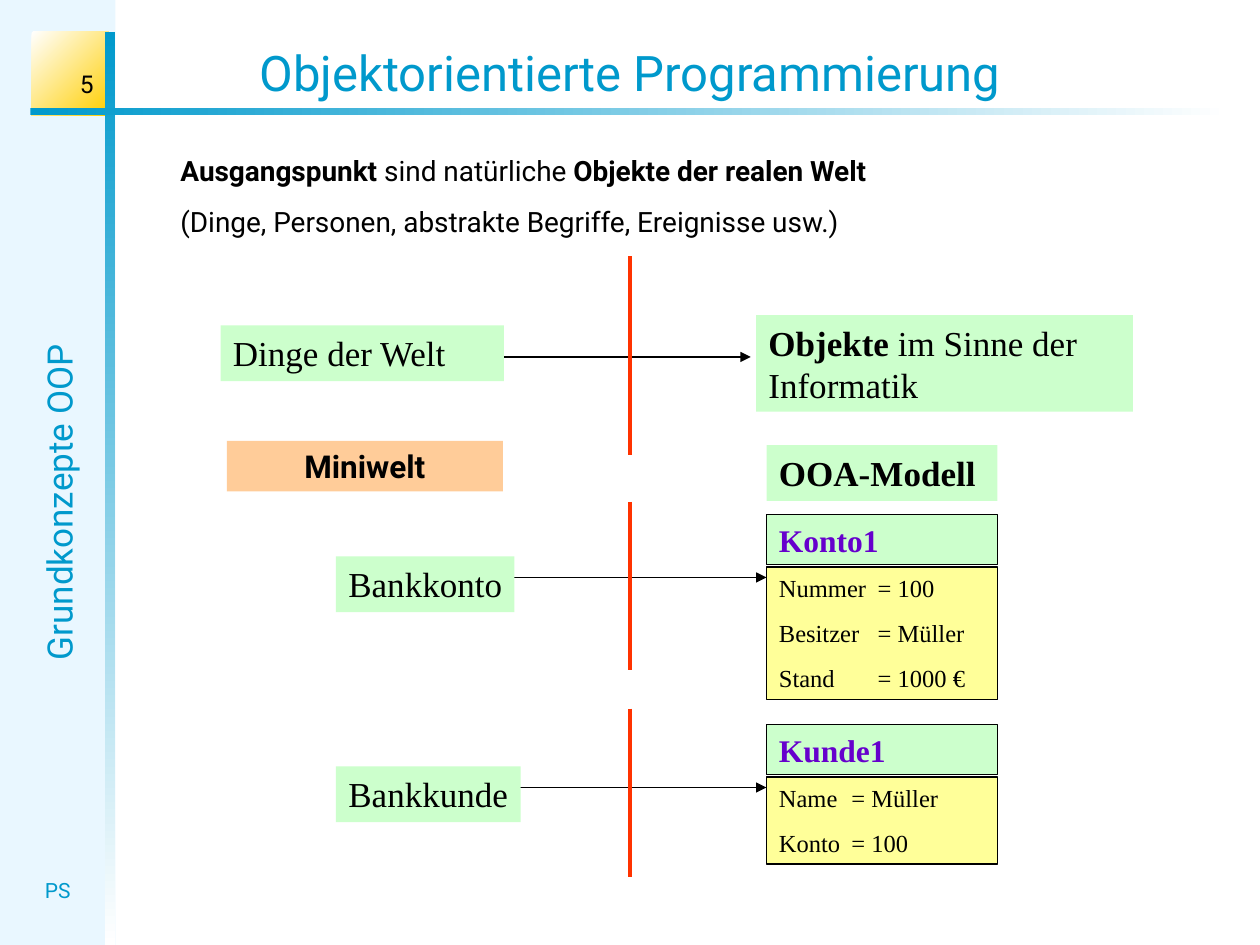
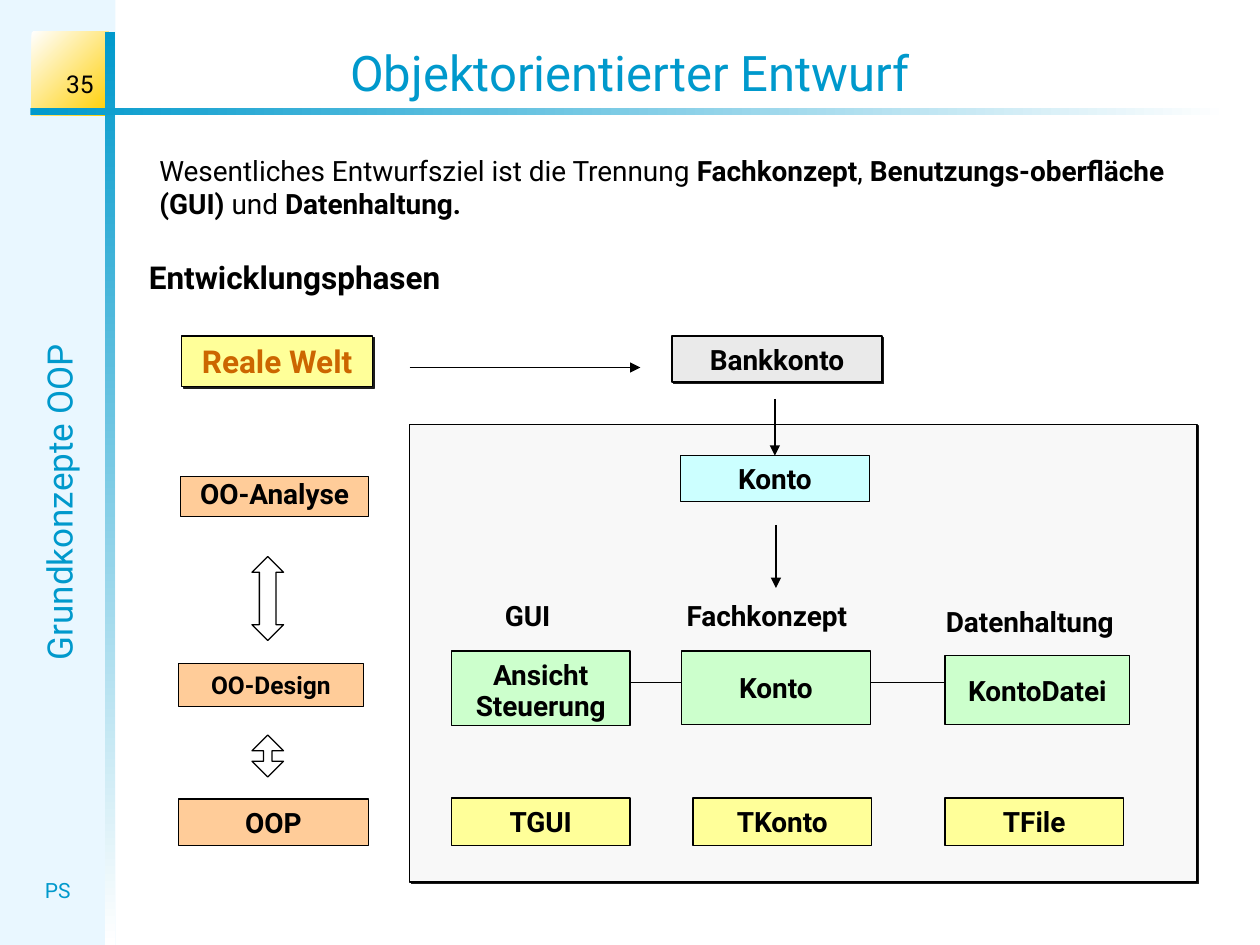
from dataclasses import dataclass

from lxml import etree
from pptx import Presentation
from pptx import util as u
from pptx.dml.color import RGBColor
from pptx.enum import shapes, text
from pptx.oxml.ns import qn


@dataclass(frozen=True)
class Theme:
    """Colours, fonts, type sizes in points and the grid cell of the deck."""

    cell: int = u.Inches(10) // 120
    sans: str = "Roboto"
    serif: str = "Times New Roman"
    ink: str = "000000"
    accent: str = "0099CC"
    white: str = "FFFFFF"
    sidebar: str = "E9F7FF"
    gold: str = "FFCF01"
    green: str = "CCFFCC"
    yellow: str = "FFFF99"
    orange: str = "FFCC99"
    cyan: str = "CCFFFF"
    grey: str = "EAEAEA"
    panel: str = "F8F8F8"
    divider: str = "FF3300"
    object_name: str = "6600CC"
    real_world: str = "CC6600"
    shadow: str = "1C1C1C"
    title: int = 28
    large: int = 20
    heading: int = 18
    body: int = 16
    small: int = 14
    footer: int = 12


THEME = Theme()
LEFT, CENTER, RIGHT = text.PP_ALIGN.LEFT, text.PP_ALIGN.CENTER, text.PP_ALIGN.RIGHT
TOP, MIDDLE, BOTTOM = text.MSO_ANCHOR.TOP, text.MSO_ANCHOR.MIDDLE, text.MSO_ANCHOR.BOTTOM


def grid(*cells):
    """Turn grid columns and rows into slide lengths."""
    return [u.Emu(round(cell * THEME.cell)) for cell in cells]


def rgb(colour):
    """Read a hexadecimal colour."""
    return RGBColor.from_string(colour)


def write(shape, lines, size=THEME.body, font=THEME.sans, colour=THEME.ink, bold=False,
          align=LEFT, anchor=TOP, wrap=True, before=0, tab=None):
    """Write paragraphs into a shape; parts between asterisks are bold."""
    frame = shape.text_frame
    frame.word_wrap = wrap
    frame.vertical_anchor = anchor
    for index, line in enumerate(lines):
        paragraph = frame.paragraphs[0] if index == 0 else frame.add_paragraph()
        paragraph.alignment = align
        paragraph.space_before = u.Pt(before)
        paragraph.font.size = u.Pt(size)
        paragraph.font.name = font
        paragraph.font.color.rgb = rgb(colour)
        paragraph.font.bold = bold
        for part, words in enumerate(line.split("*")):
            if words:
                run = paragraph.add_run()
                run.text = words
                if part % 2:
                    run.font.bold = True
        if tab:
            add_tab_stop(paragraph, tab)


def add_tab_stop(paragraph, column):
    """Give a paragraph one left tab stop."""
    defaults = paragraph.font._element
    stops = etree.Element(qn("a:tabLst"))
    etree.SubElement(stops, qn("a:tab"), pos=str(grid(column)[0]), algn="l")
    defaults.addprevious(stops)


def add_label(slide, cells, lines, **style):
    """Add a plain text box."""
    label = slide.shapes.add_textbox(*grid(*cells))
    write(label, lines, **style)
    return label


def add_box(slide, cells, fill=None, lines=(), outlined=False, shadowed=False,
            kind=shapes.MSO_SHAPE.RECTANGLE, **style):
    """Add a preset shape with optional fill, outline, shadow and text."""
    box = slide.shapes.add_shape(kind, *grid(*cells))
    box.shadow.inherit = False
    if fill:
        box.fill.solid()
        box.fill.fore_color.rgb = rgb(fill)
    else:
        box.fill.background()
    if outlined:
        box.line.color.rgb = rgb(THEME.ink)
        box.line.width = u.Pt(0.75)
    else:
        box.line.fill.background()
    if shadowed:
        effects = box._element.spPr.find(qn("a:effectLst"))
        shadow = etree.SubElement(effects, qn("a:outerShdw"), dist=str(u.Pt(1.4)),
                                  dir="2700000", algn="ctr", rotWithShape="0")
        etree.SubElement(shadow, qn("a:srgbClr"), val=THEME.shadow)
    if lines:
        write(box, lines, **style)
    return box


def add_phase_box(slide, cells, fill, lines, shadowed=False, **style):
    """Add an outlined box with bold centred text."""
    return add_box(slide, cells, fill, lines, outlined=True, shadowed=shadowed, bold=True,
                   align=CENTER, anchor=MIDDLE, **style)


def add_gradient(slide, cells, start, end, angle):
    """Add a rectangle that fades between two colours."""
    band = add_box(slide, cells)
    band.fill.gradient()
    band.fill.gradient_angle = angle
    for stop, colour in zip(band.fill.gradient_stops, (start, end)):
        stop.color.rgb = rgb(colour)


def add_line(slide, cells, colour=THEME.ink, width=0.75, arrow=False):
    """Add a straight connector, with an arrowhead at its end on request."""
    line = slide.shapes.add_connector(shapes.MSO_CONNECTOR.STRAIGHT, *grid(*cells))
    line.line.color.rgb = rgb(colour)
    line.line.width = u.Pt(width)
    if arrow:
        etree.SubElement(line.line._get_or_add_ln(), qn("a:tailEnd"), type="triangle")
    etree.SubElement(line._element.spPr, qn("a:effectLst"))
    return line


def add_frame(presentation, title, number):
    """Add a slide with the sidebar, bands, title and slide number."""
    slide = presentation.slides.add_slide(presentation.slide_layouts[6])
    add_box(slide, (0, 0, 11, 90), THEME.sidebar)
    add_gradient(slide, (3, 3, 7.3, 8), THEME.white, THEME.gold, 315)
    add_gradient(slide, (10, 3, 1, 87), THEME.accent, THEME.white, 270)
    add_gradient(slide, (2.9, 10.3, 114.1, 0.7), THEME.accent, THEME.white, 0)
    topic = add_label(slide, (-29.5, 45.2, 70.3, 5.3), ["Grundkonzepte OOP"],
                      size=THEME.large, colour=THEME.accent, align=CENTER)
    topic.rotation = 270
    add_label(slide, (2, 83, 7, 3.6), ["PS"], size=THEME.footer, colour=THEME.accent,
              align=CENTER)
    add_label(slide, (1, 5, 9.1, 5), [number], size=THEME.small, align=RIGHT, anchor=BOTTOM)
    add_label(slide, (0, 3.4, 120, 6.8), [title], size=THEME.title, colour=THEME.accent,
              align=CENTER, anchor=BOTTOM)
    return slide


def add_object_row(slide, top, thing, width, name, attributes, tab):
    """Map a real thing by an arrow to its object card."""
    serif = {"font": THEME.serif}
    add_line(slide, (49, top + 6, 73, top + 6), arrow=True)
    add_box(slide, (32, top + 4, width, 5.3), THEME.green, [thing], size=THEME.large,
            wrap=False, **serif)
    add_box(slide, (73, top, 22, 4.8), THEME.green, [name], outlined=True,
            size=THEME.heading, colour=THEME.object_name, bold=True, **serif)
    add_box(slide, (73, top + 5, 22, 4.3 * len(attributes) - 0.3), THEME.yellow, attributes,
            outlined=True, size=THEME.small, before=8.8, tab=tab, **serif)


def build_programming_slide(presentation):
    """Show how real things become objects."""
    slide = add_frame(presentation, "Objektorientierte Programmierung", "5")
    add_label(slide, (16, 14, 84, 9.2),
              ["*Ausgangspunkt* sind natürliche *Objekte der realen Welt*",
               "(Dinge, Personen, abstrakte Begriffe, Ereignisse usw.)"], before=10)
    large = {"size": THEME.large, "font": THEME.serif}
    add_box(slide, (21, 31, 27, 5.3), THEME.green, ["Dinge der Welt"], **large)
    add_box(slide, (72, 30, 35.9, 9.2), THEME.green,
            ["*Objekte* im Sinne der Informatik"], **large)
    add_line(slide, (48, 34, 71.5, 34), arrow=True)
    add_box(slide, (21.6, 42, 26.3, 4.8), THEME.orange, ["Miniwelt"], size=THEME.heading,
            bold=True, align=CENTER)
    add_box(slide, (73, 42.4, 22, 5.3), THEME.green, ["OOA-Modell"], bold=True, **large)
    add_object_row(slide, 49, "Bankkonto", 17, "Konto1",
                   ["Nummer\t= 100", "Besitzer\t= Müller", "Stand\t= 1000 €"], 9.4)
    add_object_row(slide, 69, "Bankkunde", 17.6, "Kunde1",
                   ["Name\t= Müller", "Konto\t= 100"], 6.9)
    for top, bottom in ((24.4, 43.3), (47.8, 63.8), (67.5, 83.5)):
        add_line(slide, (60, top, 60, bottom), THEME.divider, 2.25)


def build_design_slide(presentation):
    """Show the development phases from the real world to classes."""
    slide = add_frame(presentation, "Objektorientierter Entwurf", "35")
    add_label(slide, (14, 14, 99, 7.7),
              ["Wesentliches Entwurfsziel ist die Trennung *Fachkonzept*, "
               "*Benutzungs-oberfläche (GUI)* und *Datenhaltung.*"])
    add_label(slide, (13, 24, 43, 4.8), ["Entwicklungsphasen"], size=THEME.heading, bold=True)
    add_phase_box(slide, (17.3, 32, 18.2, 4.8), THEME.yellow, ["Reale Welt"], shadowed=True,
                  size=THEME.heading, colour=THEME.real_world, wrap=False)
    add_phase_box(slide, (64, 32, 20, 4.4), THEME.grey, ["Bankkonto"], shadowed=True)
    add_line(slide, (39, 35, 61, 35), arrow=True)

    add_box(slide, (39, 40.4, 75, 43.6), THEME.panel, outlined=True, shadowed=True)
    concept = add_phase_box(slide, (64.8, 43.4, 18, 4.4), THEME.cyan, ["Konto"])
    add_line(slide, (73.8, 38, 73.8, 43.4), arrow=True).end_connect(concept, 0)
    add_line(slide, (73.9, 50, 73.9, 56), arrow=True)

    analysis = add_phase_box(slide, (17.2, 45.4, 17.9, 3.8), THEME.orange, ["OO-Analyse"],
                             wrap=False)
    analysis.text_frame.paragraphs[0].line_spacing = 0.8
    add_phase_box(slide, (17, 63.2, 17.6, 4.1), THEME.orange, ["OO-Design"], size=THEME.small)
    add_phase_box(slide, (17, 76.1, 18.1, 4.4), THEME.orange, ["OOP"])
    for top, height, head in ((53, 8, 0.53), (70, 4, 0.27)):
        arrow = add_box(slide, (24, top, 3, height), outlined=True,
                        kind=shapes.MSO_SHAPE.UP_DOWN_ARROW)
        arrow.adjustments[0] = 0.5
        arrow.adjustments[1] = head

    for cells, layer in (((46.9, 56.4, 9, 4.4), "GUI"),
                         ((64.2, 56.4, 19.6, 4.4), "Fachkonzept"),
                         ((88.9, 57, 23, 4.4), "Datenhaltung")):
        add_label(slide, cells, [layer], bold=True)
    view = add_phase_box(slide, (43, 62, 17, 7.1), THEME.green, ["Ansicht", "Steuerung"],
                         before=10)
    view.text_frame.paragraphs[1].line_spacing = 0.3
    add_phase_box(slide, (64.9, 62, 18, 7), THEME.green, ["Konto"])
    add_phase_box(slide, (90, 62.4, 17.6, 6.6), THEME.green, ["KontoDatei"], wrap=False)
    for start, end in ((60, 64.9), (82.9, 90)):
        add_line(slide, (start, 65, end, 65))
    for left, name in ((43, "TGUI"), (66, "TKonto"), (90, "TFile")):
        add_phase_box(slide, (left, 76, 17, 4.5), THEME.yellow, [name], wrap=False)


def main():
    """Build and save both slides."""
    presentation = Presentation()
    presentation.slide_width, presentation.slide_height = grid(120, 90)
    build_programming_slide(presentation)
    build_design_slide(presentation)
    presentation.save("out.pptx")


if __name__ == "__main__":
    main()
